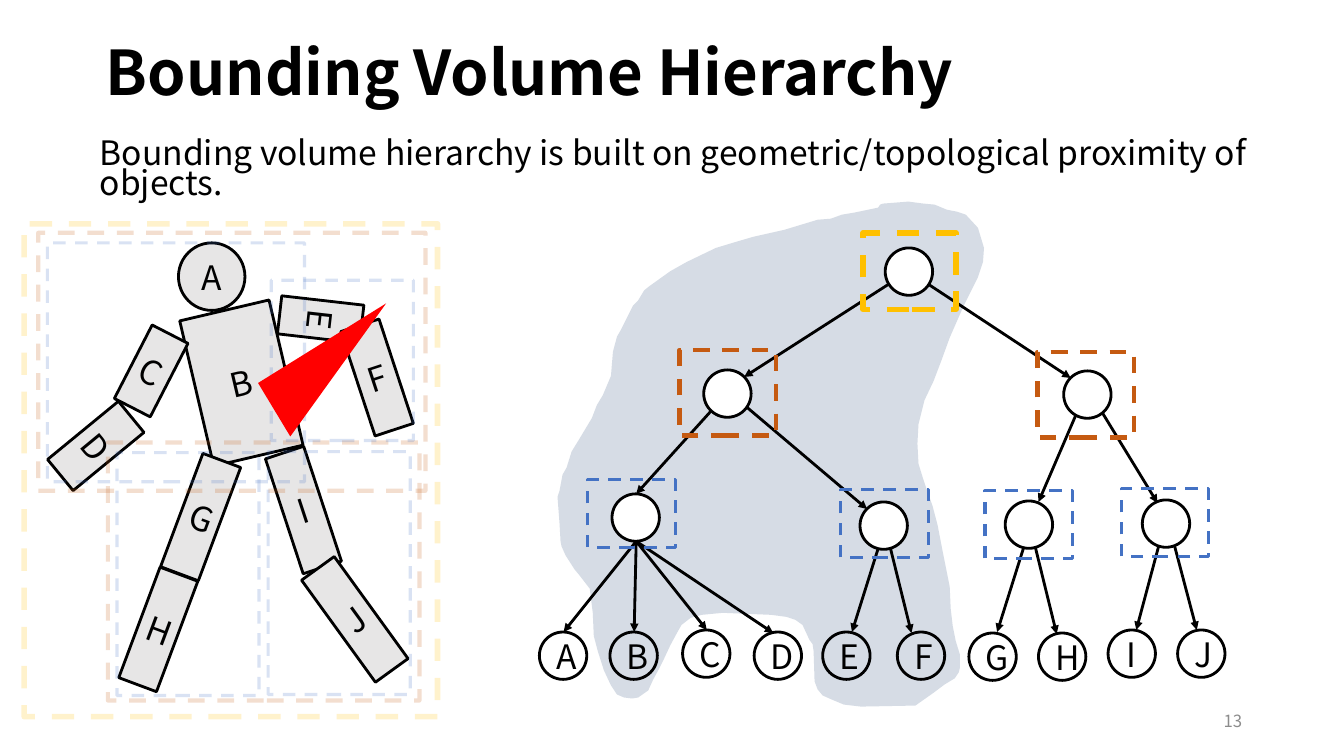
from lxml import etree
from pptx import Presentation
from pptx.dml.color import RGBColor
from pptx.enum.dml import MSO_LINE
from pptx.enum.shapes import MSO_CONNECTOR, MSO_SHAPE
from pptx.enum.text import MSO_ANCHOR, PP_ALIGN
from pptx.oxml.ns import qn
from pptx.util import Pt

PX = 9144
FONT = "Noto Sans CJK SC"
RECT, OVAL = MSO_SHAPE.RECTANGLE, MSO_SHAPE.OVAL
STRAIGHT = MSO_CONNECTOR.STRAIGHT
DASH = MSO_LINE.DASH
MIDDLE = MSO_ANCHOR.MIDDLE
LEFT, CENTER, RIGHT = PP_ALIGN.LEFT, PP_ALIGN.CENTER, PP_ALIGN.RIGHT
COLORS = {
    "black": "000000", "white": "FFFFFF", "gray": "8C8C8C", "limb": "E7E6E6",
    "region": "D6DCE5", "ray": "FF0000",
    "root": "FFC000", "half": "C55A11", "group": "4472C4",
}
NODE = 47

VISITED_REGION = [
    (871, 206), (847, 211), (835, 213), (824, 217), (811, 218), (778, 228),
    (747, 235), (730, 240), (710, 246), (681, 260), (665, 269), (658, 274),
    (651, 279), (644, 284), (639, 288), (633, 298), (628, 303), (622, 315),
    (619, 321), (616, 327), (612, 334), (608, 349), (606, 373), (598, 392),
    (592, 402), (587, 415), (575, 435), (567, 448), (562, 464), (558, 471),
    (555, 487), (553, 493), (555, 519), (556, 537), (557, 542), (561, 551),
    (570, 565), (575, 571), (585, 584), (588, 608), (589, 631), (593, 646),
    (599, 665), (606, 680), (612, 689), (619, 692), (627, 693), (633, 692),
    (643, 685), (648, 674), (654, 663), (658, 655), (665, 640), (672, 627),
    (676, 620), (685, 613), (696, 610), (717, 608), (765, 610), (780, 612),
    (789, 615), (796, 620), (803, 635), (806, 639), (807, 646), (808, 676),
    (811, 684), (816, 690), (825, 694), (837, 699), (854, 701), (908, 700),
    (925, 688), (937, 679), (947, 673), (951, 667), (952, 663), (952, 649),
    (948, 636), (945, 621), (943, 604), (942, 582), (935, 547), (930, 521),
    (925, 502), (919, 485), (915, 473), (911, 460), (910, 440), (911, 421),
    (917, 397), (926, 378), (934, 357), (942, 335), (956, 303), (970, 275),
    (975, 260), (976, 246), (970, 226), (958, 213), (949, 210), (939, 208),
    (927, 203), (916, 202), (901, 200), (876, 202), (873, 203),
]
RAY = [(256, 380), (383, 301), (288, 433)]

BODY_PIECES = [
    ("A", OVAL, (177, 241, 66, 67), 0),
    ("B", RECT, (194, 306, 91, 148), 346.8),
    ("C", RECT, (130, 327, 40, 82), 27.2),
    ("D", RECT, (75, 397, 40, 91), 50.6),
    ("E", RECT, (299, 276, 38, 82), 96.5),
    ("F", RECT, (354, 320, 40, 109), 341.8),
    ("I", RECT, (281, 446, 40, 120), 341.8),
    ("J", RECT, (332, 552, 40, 125), 324.1),
    ("G", RECT, (179, 453, 40, 120), 20.5),
    ("H", RECT, (137, 566, 40, 117), 20.5),
]
LEAVES = {
    "A": (535, 627), "B": (605, 627), "C": (677, 625), "D": (748, 627),
    "E": (816, 627), "F": (890, 627), "G": (961, 628), "H": (1030, 628),
    "I": (1099, 625), "J": (1168, 625),
}
INNER_NODES = [(878, 246), (698, 367), (1055, 368),
               (607, 490), (853, 498), (997, 497), (1133, 496)]
EDGES = [
    ((900, 270), (738, 374)), ((901, 269), (1062, 375)),
    ((705, 408), (631, 490)), ((723, 389), (860, 505)),
    ((1079, 384), (1030, 498)), ((1079, 386), (1148, 499)),
    ((631, 537), (559, 627)), ((631, 537), (629, 627)),
    ((631, 537), (701, 625)), ((631, 537), (767, 628)),
    ((877, 525), (845, 627)), ((877, 519), (904, 628)),
    ((1021, 525), (989, 627)), ((1021, 519), (1048, 629)),
    ((1155, 520), (1127, 625)), ((1159, 519), (1187, 625)),
]
BOX_WEIGHTS = {"root": 4, "half": 3, "group": 2.25}
TREE_BOXES = {
    "root": [(856, 231, 92, 76)],
    "half": [(674, 347, 96, 85), (1029, 349, 96, 85)],
    "group": [(583, 476, 87, 67), (834, 486, 87, 67),
              (977, 487, 87, 67), (1112, 485, 87, 67)],
}
FIGURE_BOXES = {
    "half": [(38, 231, 384, 256), (107, 439, 309, 256)],
    "group": [(47, 241, 255, 237), (269, 278, 141, 159),
              (116, 449, 141, 241), (266, 448, 141, 241)],
    "root": [(24, 222, 410, 489)],
}


def rgb(name):
    return RGBColor.from_string(COLORS[name])


def write(frame, text, size=24, color="black", bold=False, align=LEFT, spacing=None):
    frame.word_wrap = True
    frame.vertical_anchor = MIDDLE
    paragraph = frame.paragraphs[0]
    paragraph.alignment = align
    paragraph.line_spacing = spacing
    run = paragraph.add_run()
    run.text = text
    run.font.name = FONT
    run.font.size = Pt(size)
    run.font.bold = bold
    run.font.color.rgb = rgb(color)


class Board:
    def __init__(self, slide):
        self.shapes = slide.shapes

    def emu(self, values):
        return [value * PX for value in values]

    def title(self, text, place, **style):
        heading = self.shapes.title
        heading.left, heading.top, heading.width, heading.height = self.emu(place)
        write(heading.text_frame, text, **style)

    def text(self, text, place, **style):
        write(self.shapes.add_textbox(*self.emu(place)).text_frame, text, **style)

    def paint(self, shape, fill=None, line=None, weight=2):
        shape.shadow.inherit = False
        if fill:
            shape.fill.solid()
            shape.fill.fore_color.rgb = rgb(fill)
        else:
            shape.fill.background()
        if line:
            shape.line.color.rgb = rgb(line)
            shape.line.width = Pt(weight)
        else:
            shape.line.fill.background()

    def piece(self, kind, place, label=None, fill=None, turn=0):
        outlined = self.shapes.add_shape(kind, *self.emu(place))
        outlined.rotation = turn
        self.paint(outlined, fill, "black")
        if label:
            write(outlined.text_frame, label, align=CENTER)

    def bounds(self, place, level, opacity=100):
        box = self.shapes.add_shape(RECT, *self.emu(place))
        self.paint(box, line=level, weight=BOX_WEIGHTS[level])
        box.line.dash_style = DASH
        if opacity < 100:
            color = box.line._get_or_add_ln().find(".//" + qn("a:srgbClr"))
            etree.SubElement(color, qn("a:alpha"), val=str(opacity * 1000))

    def polygon(self, points, fill):
        builder = self.shapes.build_freeform(*points[0], scale=PX)
        builder.add_line_segments(points[1:], close=True)
        self.paint(builder.convert_to_shape(), fill)

    def arrow(self, start, end):
        edge = self.shapes.add_connector(STRAIGHT, *self.emu(start + end))
        edge.line.color.rgb = rgb("black")
        edge.line.width = Pt(2)
        etree.SubElement(edge.line._get_or_add_ln(), qn("a:tailEnd"), type="triangle")
        etree.SubElement(edge._element.spPr, qn("a:effectLst"))


def main():
    deck = Presentation()
    deck.slide_width, deck.slide_height = 1333 * PX, 750 * PX
    board = Board(deck.slides.add_slide(deck.slide_layouts[5]))

    board.polygon(VISITED_REGION, "region")
    board.title("Bounding Volume Hierarchy", (95, 2, 1150, 145),
                size=44, bold=True, spacing=0.9)
    board.text("13", (942, 695, 300, 40), size=12, color="gray", align=RIGHT)
    board.text("Bounding volume hierarchy is built on geometric/topological "
               "proximity of objects.", (89, 112, 1185, 117), spacing=0.74)

    for label, kind, place, turn in BODY_PIECES:
        board.piece(kind, place, label, "limb", turn)
    for label, corner in LEAVES.items():
        board.piece(OVAL, corner + (NODE, NODE), label)
    for start, end in EDGES:
        board.arrow(start, end)
    for corner in INNER_NODES:
        board.piece(OVAL, corner + (NODE, NODE), fill="white")
    for boxes, opacity in ((TREE_BOXES, 100), (FIGURE_BOXES, 20)):
        for level, places in boxes.items():
            for place in places:
                board.bounds(place, level, opacity)
    board.polygon(RAY, "ray")

    deck.save("out.pptx")


if __name__ == "__main__":
    main()
